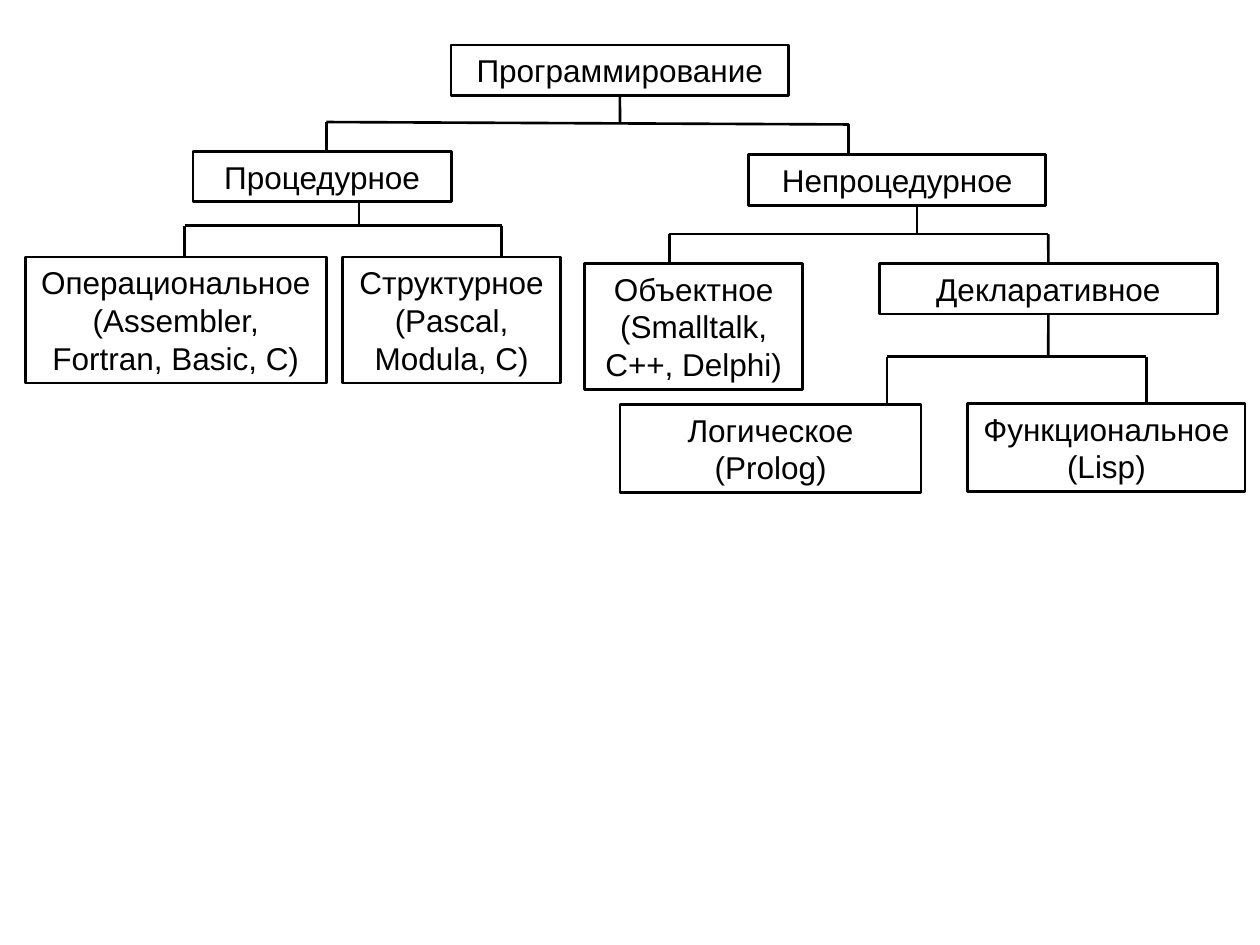
"""Builds a slide with a classification tree of programming paradigms."""
import pptx
import pptx.dml.color
import pptx.enum.shapes
import pptx.enum.text
import pptx.oxml.ns
import pptx.util
from lxml import etree

Cm = pptx.util.Cm
Pt = pptx.util.Pt
BLACK = pptx.dml.color.RGBColor(0, 0, 0)
TOP, BOTTOM = 0, 2
JOIN_TOLERANCE = Cm(0.03)

PARADIGMS = {
    "root": ("Программирование", 9.09, 0.91, 6.81, 1.02),
    "procedural": ("Процедурное", 3.89, 3.05, 5.21, 1.02),
    "nonprocedural": ("Непроцедурное", 15.09, 3.12, 5.99, 1.02),
    "operational": ("Операциональное (Assembler, Fortran, Basic, C)", 0.51, 5.18, 6.07, 2.54),
    "structural": ("Структурное (Pascal, Modula, C)", 6.91, 5.18, 4.39, 2.54),
    "object": ("Объектное (Smalltalk, C++, Delphi)", 11.79, 5.31, 4.39, 2.54),
    "declarative": ("Декларативное", 17.73, 5.31, 6.81, 1.02),
    "logical": ("Логическое (Prolog)", 12.5, 8.15, 6.07, 1.78),
    "functional": ("Функциональное (Lisp)", 19.51, 8.13, 5.59, 1.78),
}

# parent, stem x, then (child, x, bar y) for the left and the right end
BRANCHES = [
    ("root", 12.5, ("procedural", 6.58, 2.46), ("nonprocedural", 17.11, 2.51)),
    ("procedural", 7.24, ("operational", 3.72, 4.55), ("structural", 10.11, 4.55)),
    ("nonprocedural", 18.49, ("object", 13.49, 4.72), ("declarative", 21.13, 4.72)),
    ("declarative", 21.13, ("logical", 17.88, 7.19), ("functional", 23.11, 7.19)),
]


def add_paradigm(slide, label, left, top, width, height):
    """Draw one outlined box with a centred label."""
    box = slide.shapes.add_shape(
        pptx.enum.shapes.MSO_SHAPE.RECTANGLE, Cm(left), Cm(top), Cm(width), Cm(height))
    box.shadow.inherit = False
    box.fill.background()
    box.line.color.rgb = BLACK
    box.line.width = Pt(1.5)
    frame = box.text_frame
    frame.text = label
    frame.word_wrap = True
    frame.auto_size = pptx.enum.text.MSO_AUTO_SIZE.SHAPE_TO_FIT_TEXT
    frame.vertical_anchor = pptx.enum.text.MSO_ANCHOR.MIDDLE
    paragraph = frame.paragraphs[0]
    paragraph.alignment = pptx.enum.text.PP_ALIGN.CENTER
    font = paragraph.runs[0].font
    font.name = "Arial"
    font.size = Pt(18)
    font.color.rgb = BLACK
    return box


def add_line(slide, start, end):
    """Draw a straight black line without a shadow."""
    line = slide.shapes.add_connector(
        pptx.enum.shapes.MSO_CONNECTOR.STRAIGHT, *start, *end)
    line.line.color.rgb = BLACK
    line.line.width = Pt(1.5)
    etree.SubElement(line._element.spPr, pptx.oxml.ns.qn("a:effectLst"))
    return line


def is_centred(box, x):
    """Tell whether x lies at the horizontal middle of the box."""
    return abs(box.left + box.width // 2 - x) <= JOIN_TOLERANCE


def add_branch(slide, boxes, parent_key, stem_x, *ends):
    """Link a parent to its children with a stem, a bar and two drops."""
    parent = boxes[parent_key]
    bar_ends = [(Cm(x), Cm(y)) for _, x, y in ends]
    add_line(slide, *bar_ends)

    stem_end = Cm(sum(y for _, _, y in ends) / len(ends))
    stem = add_line(slide, (Cm(stem_x), parent.top + parent.height), (Cm(stem_x), stem_end))
    if is_centred(parent, Cm(stem_x)):
        stem.begin_connect(parent, BOTTOM)

    for (child_key, _, _), (x, y) in zip(ends, bar_ends):
        child = boxes[child_key]
        drop = add_line(slide, (x, y), (x, child.top))
        if is_centred(child, x):
            drop.end_connect(child, TOP)


def main():
    """Build and save the slide."""
    deck = pptx.Presentation()
    deck.slide_width, deck.slide_height = Cm(25.4), Cm(19.05)
    slide = deck.slides.add_slide(deck.slide_layouts[6])
    boxes = {key: add_paradigm(slide, *details) for key, details in PARADIGMS.items()}
    for branch in BRANCHES:
        add_branch(slide, boxes, *branch)
    deck.save("out.pptx")


if __name__ == "__main__":
    main()
